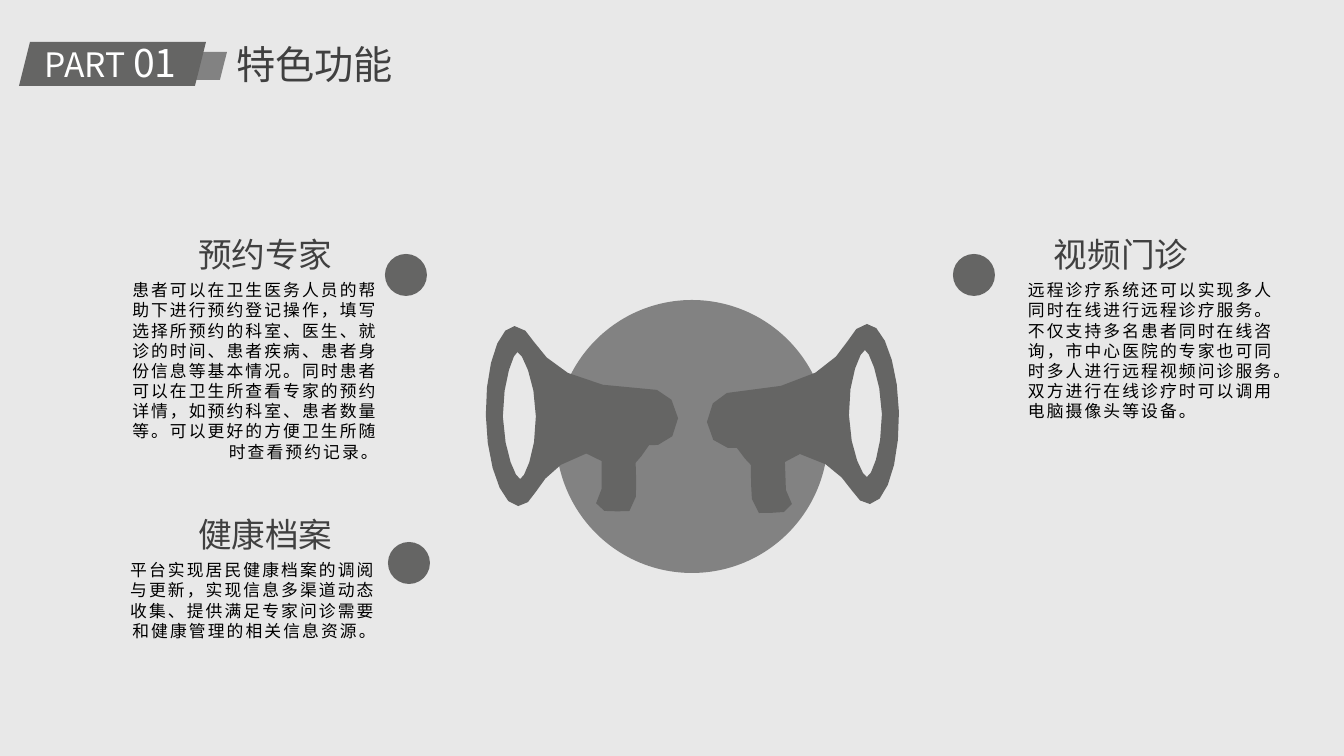
import math
import pptx
import pptx.util
import pptx.oxml
import pptx.oxml.ns
import pptx.dml.color
import pptx.enum.text
import pptx.enum.shapes

SHAPE = pptx.enum.shapes.MSO_SHAPE
ALIGN = pptx.enum.text.PP_ALIGN
FIT = pptx.enum.text.MSO_AUTO_SIZE
TOP = pptx.enum.text.MSO_ANCHOR.TOP

HEX = {"back": "E8E8E8", "dark": "656564", "mid": "828282",
       "head": "404040", "body": "000000", "white": "FFFFFF"}
FONT = "Noto Sans CJK SC"
SCALE = 12192000 / 1344  # EMU in one px

# Horn outline about its centre: a start, then cubic curves of three points
BELL = [(57, 60),
        (54, 61), (40, 36), (39, -2), (38, -39), (51, -67), (55, -67),
        (58, -68), (71, -40), (72, -3), (72, 35), (61, 60), (57, 60)]
BODY = [(89, -5),
        (88, -53), (73, -94), (57, -93), (30, -92), (48, -30), (-83, -24),
        (-94, -23), (-103, -7), (-103, 5), (-103, 17), (-93, 32), (-82, 31),
        (-80, 31), (-73, 31), (-73, 31), (-70, 44), (-59, 41), (-59, 48),
        (-59, 57), (-59, 76), (-58, 82), (-58, 89), (-55, 96), (-51, 96),
        (-46, 96), (-32, 96), (-26, 95), (-20, 95), (-18, 91), (-18, 87),
        (-18, 82), (-24, 79), (-24, 73), (-24, 68), (-25, 51), (-25, 45),
        (-25, 38), (-18, 35), (-10, 37), (43, 50), (40, 88), (60, 87),
        (77, 86), (90, 43), (89, -5)]


def px(num):
    return pptx.util.Emu(round(num * SCALE))


def rgb(name):
    return pptx.dml.color.RGBColor.from_string(HEX[name])


def curve(knots, reach=20):
    """Points along a chain of cubic curves, more on the longer ones."""
    dots = [knots[0]]
    for i in range(0, len(knots) - 1, 3):
        quad = knots[i:i + 4]
        steps = min(6, math.ceil(math.dist(quad[0], quad[3]) / reach))
        for s in range(1, steps + 1):
            t = s / steps
            mix = ((1 - t) ** 3, 3 * t * (1 - t) ** 2, 3 * t * t * (1 - t), t ** 3)
            dots.append(tuple(sum(m * p[k] for m, p in zip(mix, quad)) for k in (0, 1)))
    return dots[:-1]


class Deck:
    def __init__(self):
        self.prs = pptx.Presentation()
        self.prs.slide_width, self.prs.slide_height = px(1344), px(756)
        self.slide = self.prs.slides.add_slide(self.prs.slide_layouts[5])
        self.slide.background.fill.solid()
        self.slide.background.fill.fore_color.rgb = rgb("back")
        self.shapes = self.slide.shapes

    def paint(self, shape, fill):
        shape.shadow.inherit = False
        shape.fill.solid()
        shape.fill.fore_color.rgb = rgb(fill)
        shape.line.fill.background()

    def shape(self, kind, box, fill):
        self.paint(self.shapes.add_shape(kind, *map(px, box)), fill)

    def horn(self, mid, flip, turn):
        """A megaphone at mid, mirrored by flip and turned by degrees."""
        cos, sin = math.cos(math.radians(turn)), math.sin(math.radians(turn))

        def place(dot):
            x, y = dot[0] * flip, dot[1]
            return px(mid[0] + x * cos - y * sin), px(mid[1] + x * sin + y * cos)

        bell, body = ([place(d) for d in curve(part)] for part in (BELL, BODY))
        pen = self.shapes.build_freeform(*bell[0], scale=1.0)
        pen.add_line_segments(bell[1:], close=True)
        pen.move_to(*body[0])
        pen.add_line_segments(body[1:], close=True)
        self.paint(pen.convert_to_shape(), "dark")

    def text(self, box, runs, tone, align=ALIGN.LEFT, shape=None, **more):
        """Text in a new box or a given shape; runs pair wording with size."""
        shape = shape or self.shapes.add_textbox(0, 0, 0, 0)
        for key, val in zip(("left", "top", "width", "height"), box):
            setattr(shape, key, px(val))
        frame = shape.text_frame
        form = {"word_wrap": True, "vertical_anchor": TOP,
                "auto_size": FIT.SHAPE_TO_FIT_TEXT}
        for key, val in {**form, **more.get("frame", {})}.items():
            setattr(frame, key, val)
        para = frame.paragraphs[0]
        for key, val in {"alignment": align, **more.get("para", {})}.items():
            setattr(para, key, val)
        for words, size in runs:
            run = para.add_run()
            run.text = words
            for key, val in {"name": FONT, "size": pptx.util.Pt(size)}.items():
                setattr(run.font, key, val)
            run.font.color.rgb = rgb(tone)
            prop = run.font._element
            east = pptx.oxml.parse_xml(
                f'<a:ea {pptx.oxml.ns.nsdecls("a")} typeface="{FONT}"/>')
            prop.find(pptx.oxml.ns.qn("a:latin")).addnext(east)
            if "space" in more:
                prop.set("spc", str(more["space"]))

    def topic(self, head, body, icon, title, words, align):
        """A round marker, a heading and a paragraph."""
        self.shape(SHAPE.OVAL, (*icon, 42, 42), "dark")
        self.text((*head, 230, 50), [(title + " ", 24)], "head", ALIGN.CENTER)
        flat = {f"margin_{side}": 0 for side in ("left", "top", "right", "bottom")}
        self.text(body, [(words, 12)], "body", align,
                  frame={**flat, "auto_size": FIT.NONE},
                  para={"space_before": pptx.util.Pt(7.5)}, space=150)


def main():
    deck = Deck()

    # Header
    deck.shape(SHAPE.PARALLELOGRAM, (172, 52, 55, 28), "mid")
    deck.shape(SHAPE.PARALLELOGRAM, (19, 42, 187, 44), "dark")
    deck.text((35, 33, 155, 58), [("PART ", 24), ("01", 28)], "white")
    deck.text((226, 35, 385, 58), [("特色功能", 28)], "head",
              shape=deck.shapes.title)

    # Disc with two megaphones
    deck.shape(SHAPE.OVAL, (556, 300, 272, 273), "mid")
    deck.horn((810, 417), 1, 0)
    deck.horn((575, 417), -1, -2.1)

    # Topics
    deck.topic((154, 229), (125, 280, 253, 99), (385, 254), "预约专家",
               "患者可以在卫生医务人员的帮助下进行预约登记操作，填写选择所预约的科室、"
               "医生、就诊的时间、患者疾病、患者身份信息等基本情况。同时患者可以在"
               "卫生所查看专家的预约详情，如预约科室、患者数量等。可以更好的方便"
               "卫生所随时查看预约记录。", ALIGN.RIGHT)
    deck.topic((154, 509), (113, 560, 263, 99), (388, 542), "健康档案",
               "平台实现居民健康档案的调阅与更新，实现信息多渠道动态收集、提供满足"
               "专家问诊需要和健康管理的相关信息资源。", ALIGN.RIGHT)
    deck.topic((1010, 229), (1028, 280, 263, 99), (953, 254), "视频门诊",
               "远程诊疗系统还可以实现多人同时在线进行远程诊疗服务。不仅支持多名患者"
               "同时在线咨询，市中心医院的专家也可同时多人进行远程视频问诊服务。"
               "双方进行在线诊疗时可以调用电脑摄像头等设备。", ALIGN.LEFT)

    deck.prs.save("out.pptx")


if __name__ == "__main__":
    main()
